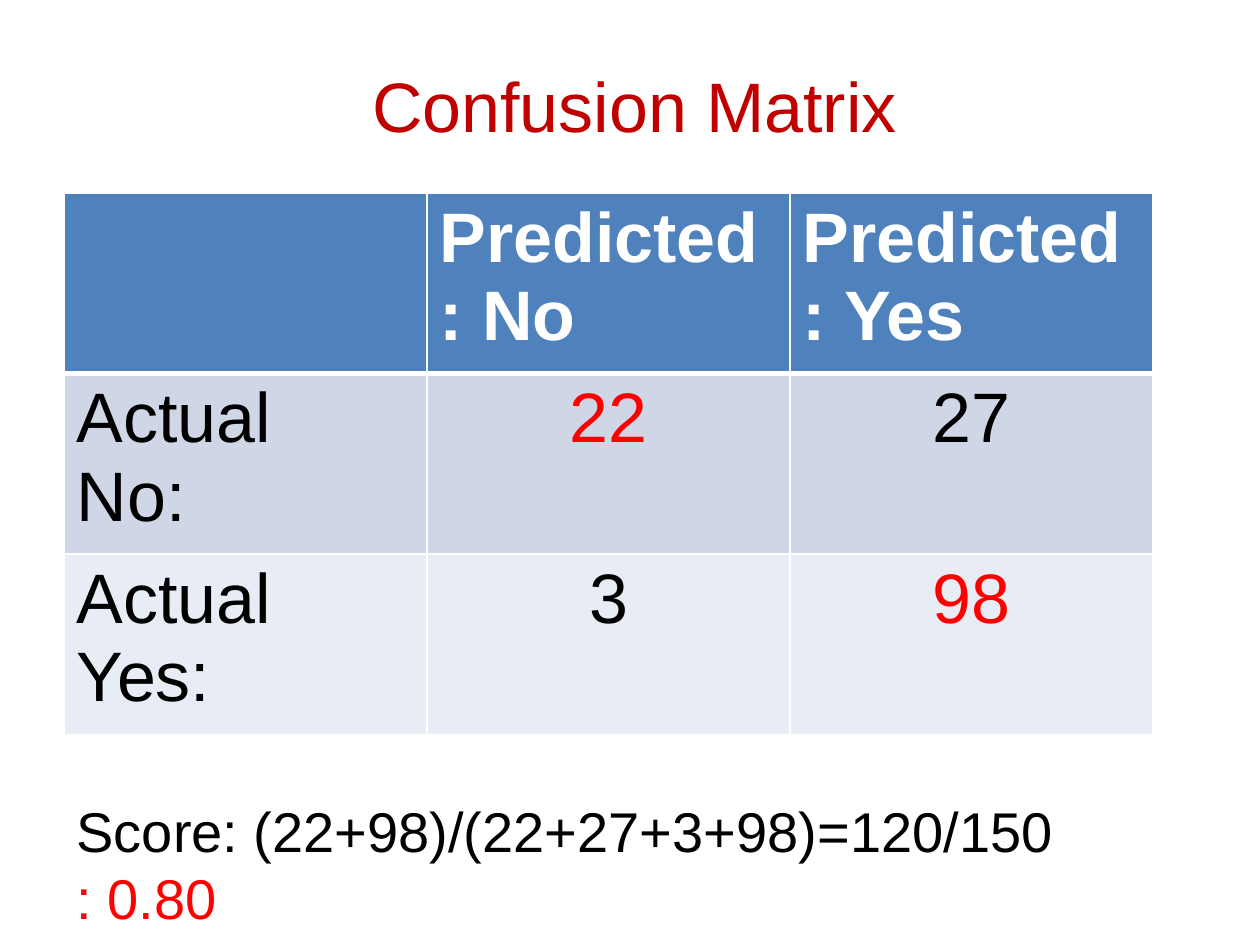
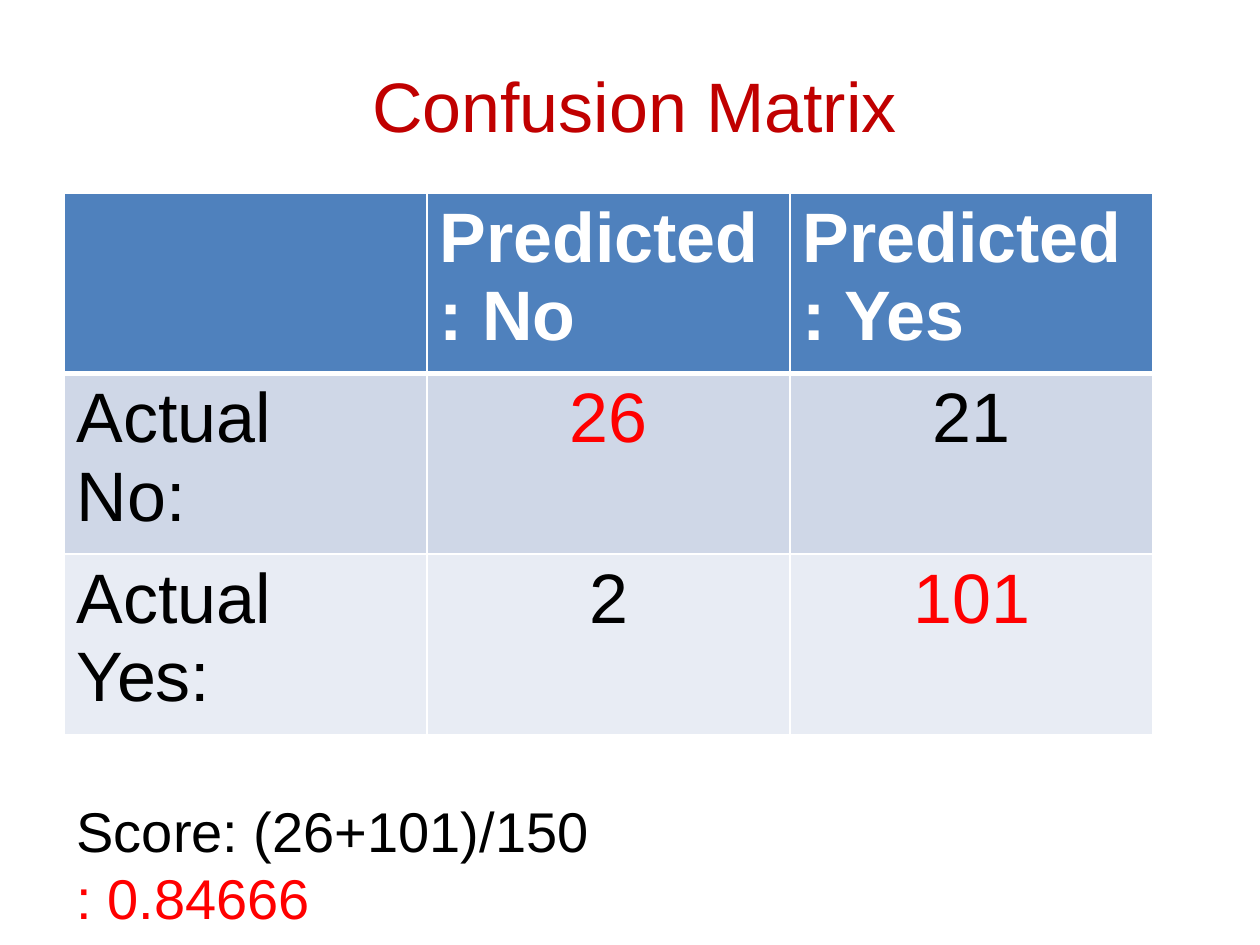
from dataclasses import dataclass

from lxml import etree
from pptx import Presentation
from pptx.dml.color import RGBColor
from pptx.enum.text import MSO_ANCHOR, PP_ALIGN
from pptx.oxml.ns import qn
from pptx.util import Pt

LEFT, CENTER = PP_ALIGN.LEFT, PP_ALIGN.CENTER
TOP, MIDDLE = MSO_ANCHOR.TOP, MSO_ANCHOR.MIDDLE

TITLE = "Confusion Matrix"
PREDICTED = ["", "Predicted : No", "Predicted : Yes"]
ACTUAL = [["Actual ", "No:"], ["Actual Yes:"]]
RESULTS = [
    {
        "counts": [[22, 27], [3, 98]],
        "formula": "Score: (22+98)/(22+27+3+98)=120/150",
        "score": ": 0.80",
    },
    {
        "counts": [[26, 21], [2, 101]],
        "formula": "Score: (26+101)/150",
        "score": ": 0.84666",
    },
]


@dataclass(frozen=True)
class Theme:
    font: str = "Arial"
    large: int = 40
    medium: int = 32
    title: str = "C00000"
    ink: str = "000000"
    accent: str = "FF0000"
    white: str = "FFFFFF"
    header: str = "4F81BD"
    bands: tuple = ("CFD7E7", "E8ECF4")
    rule: int = 1
    header_rule: int = 3


THEME = Theme()
SLIDE_SIZE = (720, 540)
TITLE_BOX = (65.5, 15, 594, 90)
SCORE_BOX = (36.7, 451.4, 658, 85)
MATRIX_LEFT, MATRIX_TOP = 36.7, 110.2
COLUMN_WIDTH, ROW_HEIGHT = 207.4, 96.5


def write(frame, lines, size=THEME.large, colors=(THEME.ink,), bold=False, align=LEFT):
    for index, line in enumerate(lines):
        paragraph = frame.paragraphs[0] if index == 0 else frame.add_paragraph()
        paragraph.alignment = align
        run = paragraph.add_run()
        run.text = line
        run.font.name = THEME.font
        run.font.size = Pt(size)
        run.font.bold = bold
        run.font.color.rgb = RGBColor.from_string(colors[index % len(colors)])


def add_text(slide, box, lines, anchor=TOP, **style):
    frame = slide.shapes.add_textbox(*map(Pt, box)).text_frame
    frame.word_wrap = True
    frame.vertical_anchor = anchor
    write(frame, lines, **style)


def set_borders(cell, widths):
    properties = cell._tc.get_or_add_tcPr()
    for index, (side, width) in enumerate(widths.items()):
        line = etree.Element(qn(f"a:ln{side}"), w=str(Pt(width)))
        fill = etree.SubElement(line, qn("a:solidFill"))
        etree.SubElement(fill, qn("a:srgbClr"), val=THEME.white)
        properties.insert(index, line)


def fill_cell(cell, row, color, lines, **style):
    cell.fill.solid()
    cell.fill.fore_color.rgb = RGBColor.from_string(color)
    set_borders(cell, {
        "L": THEME.rule,
        "R": THEME.rule,
        "T": THEME.header_rule if row == 1 else THEME.rule,
        "B": THEME.header_rule if row == 0 else THEME.rule,
    })
    if any(lines):
        write(cell.text_frame, lines, **style)


def add_matrix(slide, counts):
    rows, columns = len(ACTUAL) + 1, len(PREDICTED)
    matrix = slide.shapes.add_table(
        rows, columns, Pt(MATRIX_LEFT), Pt(MATRIX_TOP),
        Pt(columns * COLUMN_WIDTH), Pt(rows * ROW_HEIGHT),
    ).table
    for column, heading in enumerate(PREDICTED):
        fill_cell(matrix.cell(0, column), 0, THEME.header, [heading],
                  colors=(THEME.white,), bold=True)
    for row, (label, values) in enumerate(zip(ACTUAL, counts), start=1):
        band = THEME.bands[row - 1]
        fill_cell(matrix.cell(row, 0), row, band, label)
        for column, value in enumerate(values, start=1):
            color = THEME.accent if row == column else THEME.ink
            fill_cell(matrix.cell(row, column), row, band, [str(value)],
                      colors=(color,), align=CENTER)


def add_result(deck, result):
    slide = deck.slides.add_slide(deck.slide_layouts[6])
    add_text(slide, TITLE_BOX, [TITLE], anchor=MIDDLE, colors=(THEME.title,), align=CENTER)
    add_matrix(slide, result["counts"])
    add_text(slide, SCORE_BOX, [result["formula"], result["score"]],
             size=THEME.medium, colors=(THEME.ink, THEME.accent))


deck = Presentation()
deck.slide_width, deck.slide_height = map(Pt, SLIDE_SIZE)
for result in RESULTS:
    add_result(deck, result)
deck.save("out.pptx")
